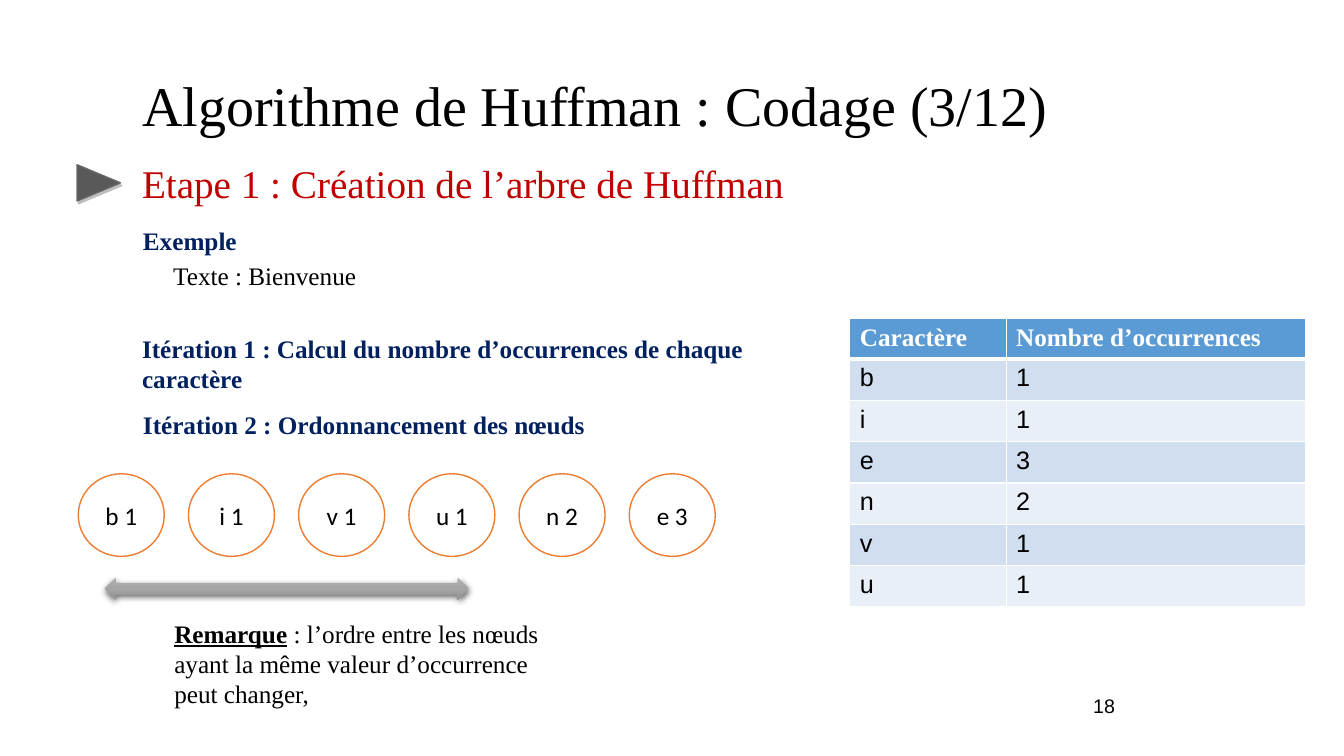
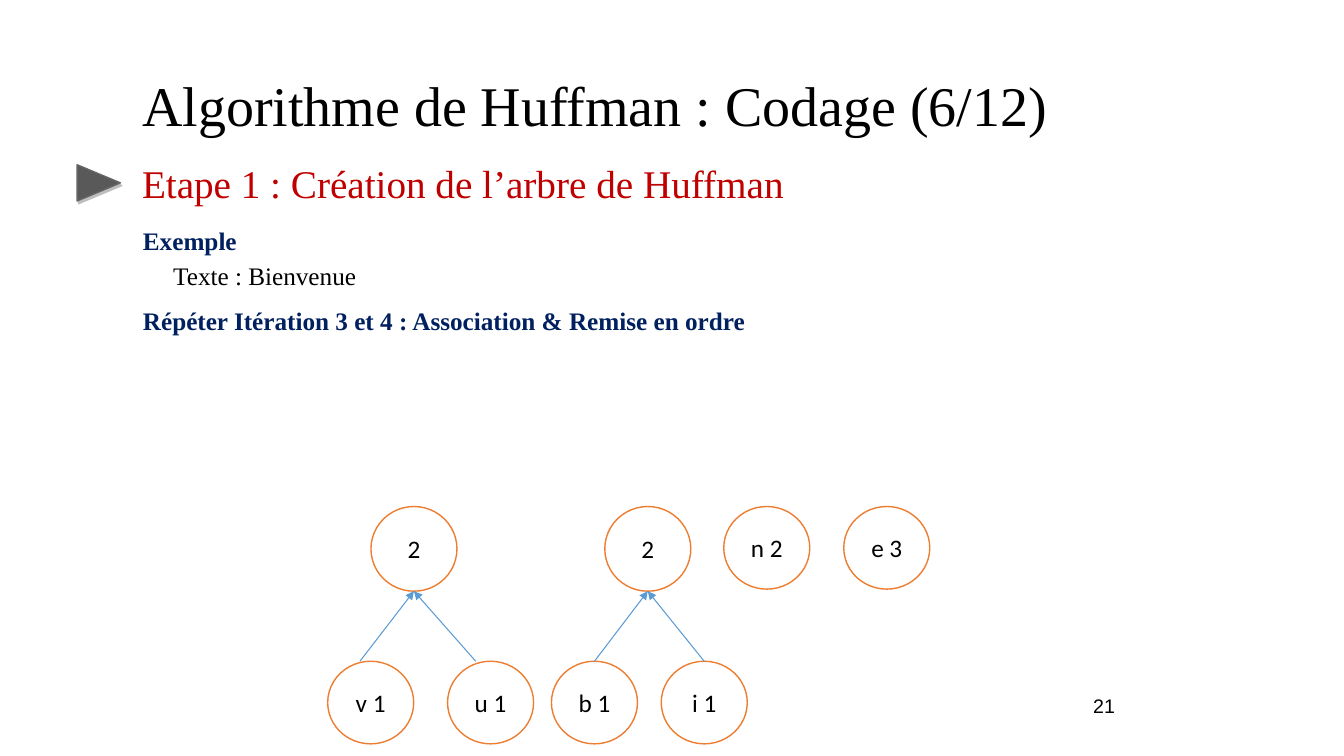
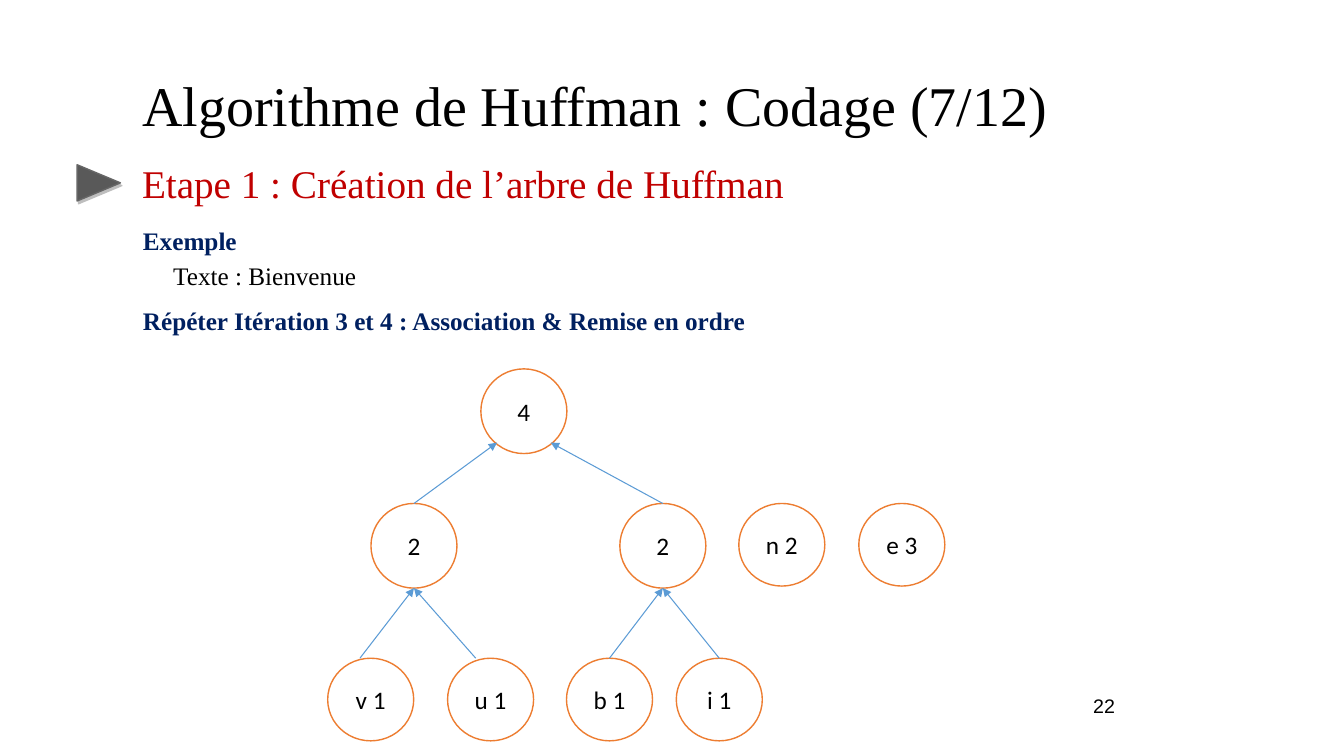
"""Build three slides on the construction of a Huffman tree."""
import dataclasses
import typing

import lxml.etree
import pptx
import pptx.dml.color
import pptx.enum.shapes
import pptx.enum.text
import pptx.oxml.ns
import pptx.shapes.autoshape
import pptx.shapes.connector
import pptx.slide
import pptx.text.text
import pptx.util

SLIDE_WIDTH = pptx.util.Inches(13.33)
SLIDE_HEIGHT = pptx.util.Inches(7.5)
GRID = 100

SERIF, SANS, NODE_FONT = "Times New Roman", "Arial", "Calibri"
BLACK, WHITE, RED, NAVY = "000000", "FFFFFF", "C00000", "002060"
ORANGE, BLUE = "ED7D31", "5B9BD5"
BANDS = ("D0DEEF", "E9EFF7")

NODE_WIDTH, LEAF_HEIGHT, PARENT_HEIGHT = 6.4, 10.93, 11.2
LEAF_TOP, PARENT_TOP, ROOT_TOP = 87.47, 67, 49.2

LEFT = pptx.enum.text.PP_ALIGN.LEFT
CENTER = pptx.enum.text.PP_ALIGN.CENTER
RIGHT = pptx.enum.text.PP_ALIGN.RIGHT
TOP = pptx.enum.text.MSO_ANCHOR.TOP
MIDDLE = pptx.enum.text.MSO_ANCHOR.MIDDLE
SHAPES = pptx.enum.shapes.MSO_SHAPE

OCCURRENCES = (("b", 1), ("i", 1), ("e", 3), ("n", 2), ("v", 1), ("u", 1))
ORDERED_NODES = ("b 1", "i 1", "v 1", "u 1", "n 2", "e 3")


@dataclasses.dataclass(frozen=True)
class Box:
    """Place on the grid, in columns and rows."""
    left: float
    top: float
    width: float
    height: float


@dataclasses.dataclass(frozen=True)
class Style:
    """Look of a text."""
    size: float = 18
    font: str = SERIF
    color: str = BLACK
    bold: bool = False
    underline: bool = False
    align: typing.Any = LEFT
    anchor: typing.Any = TOP
    spacing: float = 1


@dataclasses.dataclass(frozen=True)
class Node:
    """Node of the tree, placed by its top left corner."""
    label: str
    left: float
    top: float
    height: float = LEAF_HEIGHT

    @property
    def center(self) -> float:
        """Column of the middle of the node."""
        return self.left + NODE_WIDTH / 2


@dataclasses.dataclass(frozen=True)
class Edge:
    """Arrow from a child to its parent, with offsets from their middles."""
    child: Node
    parent: Node
    child_offset: float = 0
    parent_offset: float = 0
    rise: float = 0


@dataclasses.dataclass(frozen=True)
class Shadow:
    """Outer shadow, in points, degrees and percent."""
    color: str
    opacity: int
    blur: float
    distance: float
    angle: int


BODY = Style()
HEADING = Style(color=NAVY, bold=True)
TITLE = Style(size=40, anchor=MIDDLE, spacing=0.9)
STEP = Style(size=28, color=RED, anchor=MIDDLE, spacing=0.9)
PAGE = Style(size=14, font=SANS, align=RIGHT)
NODE = Style(font=NODE_FONT, align=CENTER, anchor=MIDDLE)
TABLE_HEAD = Style(color=WHITE, bold=True)
TABLE_BODY = Style(font=SANS)


def across(columns: float) -> int:
    """Turn grid columns into a length."""
    return round(SLIDE_WIDTH * columns / GRID)


def down(rows: float) -> int:
    """Turn grid rows into a length."""
    return round(SLIDE_HEIGHT * rows / GRID)


def bounds(box: Box) -> tuple[int, int, int, int]:
    """Turn a grid box into lengths."""
    return across(box.left), down(box.top), across(box.width), down(box.height)


def rgb(color: str) -> pptx.dml.color.RGBColor:
    """Turn a hex string into a colour."""
    return pptx.dml.color.RGBColor.from_string(color)


def add_xml(parent: typing.Any, tag: str, **attributes: typing.Any) -> typing.Any:
    """Append a drawing element to a parent."""
    values = {key: str(value) for key, value in attributes.items()}
    return lxml.etree.SubElement(parent, pptx.oxml.ns.qn(tag), values)


def format_run(run: typing.Any, style: Style) -> None:
    """Apply the font part of a style."""
    run.font.size = pptx.util.Pt(style.size)
    run.font.name = style.font
    run.font.bold = style.bold
    run.font.underline = style.underline
    run.font.color.rgb = rgb(style.color)


def write(frame: pptx.text.text.TextFrame, text: str, style: Style) -> None:
    """Fill a text frame with one styled paragraph."""
    frame.text = text
    frame.word_wrap = True
    frame.vertical_anchor = style.anchor
    paragraph = frame.paragraphs[0]
    paragraph.alignment = style.align
    paragraph.line_spacing = style.spacing
    for run in paragraph.runs:
        format_run(run, style)


def add_text(slide: pptx.slide.Slide, box: Box, text: str,
             style: Style = BODY) -> pptx.text.text.TextFrame:
    """Add a text box."""
    frame = slide.shapes.add_textbox(*bounds(box)).text_frame
    write(frame, text, style)
    return frame


def add_shape(slide: pptx.slide.Slide, kind: typing.Any, box: Box, fill: str,
              line: str | None = None) -> pptx.shapes.autoshape.Shape:
    """Add a flat shape."""
    shape = slide.shapes.add_shape(kind, *bounds(box))
    shape.fill.solid()
    shape.fill.fore_color.rgb = rgb(fill)
    if line:
        shape.line.color.rgb = rgb(line)
        shape.line.width = pptx.util.Pt(1)
    else:
        shape.line.fill.background()
    shape.shadow.inherit = False
    return shape


def cast_shadow(shape: pptx.shapes.autoshape.Shape, shadow: Shadow) -> None:
    """Give a shape an outer shadow."""
    effects = shape.element.spPr.find(pptx.oxml.ns.qn("a:effectLst"))
    outer = add_xml(effects, "a:outerShdw", blurRad=pptx.util.Pt(shadow.blur),
                    dist=pptx.util.Pt(shadow.distance), dir=shadow.angle * 60000,
                    rotWithShape=0)
    add_xml(add_xml(outer, "a:srgbClr", val=shadow.color), "a:alpha",
            val=shadow.opacity * 1000)


def shade(shape: pptx.shapes.autoshape.Shape, colors: tuple[str, ...]) -> None:
    """Fill a shape with evenly spaced colours from top to bottom."""
    shape.fill.gradient()
    shape.fill.gradient_angle = 270
    stops = shape.element.spPr.find(".//" + pptx.oxml.ns.qn("a:gsLst"))
    for stop in list(stops):
        stops.remove(stop)
    for index, color in enumerate(colors):
        stop = add_xml(stops, "a:gs", pos=100000 * index // (len(colors) - 1))
        add_xml(stop, "a:srgbClr", val=color)


def draw_node(slide: pptx.slide.Slide, node: Node) -> None:
    """Draw a node with its label."""
    box = Box(node.left, node.top, NODE_WIDTH, node.height)
    circle = add_shape(slide, SHAPES.OVAL, box, WHITE, ORANGE)
    write(circle.text_frame, node.label, NODE)


def draw_edge(slide: pptx.slide.Slide, edge: Edge) -> None:
    """Draw an arrow from a child up to its parent."""
    arrow = slide.shapes.add_connector(
        pptx.enum.shapes.MSO_CONNECTOR.STRAIGHT,
        across(edge.child.center + edge.child_offset), down(edge.child.top),
        across(edge.parent.center + edge.parent_offset),
        down(edge.parent.top + edge.parent.height - edge.rise))
    arrow.line.color.rgb = rgb(BLUE)
    arrow.line.width = pptx.util.Pt(0.75)
    properties = arrow.element.spPr
    add_xml(properties.find(pptx.oxml.ns.qn("a:ln")), "a:tailEnd", type="triangle")
    add_xml(properties, "a:effectLst")


def add_base(deck: typing.Any, part: int, page: int) -> pptx.slide.Slide:
    """Add a slide with all that the slides share."""
    slide = deck.slides.add_slide(deck.slide_layouts[5])
    title = slide.shapes.title
    title.left, title.top, title.width, title.height = bounds(Box(9.83, 6, 71.7, 16.67))
    write(title.text_frame, f"Algorithme de Huffman : Codage ({part}/12)", TITLE)
    title.text_frame.auto_size = pptx.enum.text.MSO_AUTO_SIZE.NONE
    add_text(slide, Box(66.23, 91.07, 17.48, 6.93), str(page), PAGE)
    marker = add_shape(slide, SHAPES.ISOSCELES_TRIANGLE,
                       Box(6, 21.33, 2.7, 5.73), "595959", "666666")
    marker.rotation = 90
    cast_shadow(marker, Shadow("7F7F7F", 50, 0, 2.2, 63))
    add_text(slide, Box(9.83, 20.4, 63.75, 8.27),
             "Etape 1 : Création de l’arbre de Huffman", STEP)
    add_text(slide, Box(9.9, 29.2, 8.7, 5.33), "Exemple", HEADING)
    add_text(slide, Box(12.15, 33.73, 65.18, 5.33), "Texte : Bienvenue")
    return slide


def fill_cell(cell: typing.Any, text: str, style: Style, fill: str,
              top: float, bottom: float) -> None:
    """Fill a table cell and draw its white borders."""
    write(cell.text_frame, text, style)
    properties = cell._tc.get_or_add_tcPr()
    for side, width in (("L", 1), ("R", 1), ("T", top), ("B", bottom)):
        border = add_xml(properties, f"a:ln{side}", w=pptx.util.Pt(width))
        add_xml(add_xml(border, "a:solidFill"), "a:srgbClr", val=WHITE)
    cell.fill.solid()
    cell.fill.fore_color.rgb = rgb(fill)


def add_occurrences(slide: pptx.slide.Slide) -> None:
    """Add the table of occurrences."""
    rows = (("Caractère", "Nombre d’occurrences"), *OCCURRENCES)
    widths, head_height, row_height = (11.63, 22.28), 5.07, 5.47
    box = Box(63.23, 42.13, sum(widths), head_height + row_height * len(OCCURRENCES))
    table = slide.shapes.add_table(len(rows), len(widths), *bounds(box)).table
    table.horz_banding = False
    for column, width in zip(table.columns, widths):
        column.width = across(width)
    for index, values in enumerate(rows):
        head = index == 0
        table.rows[index].height = down(head_height if head else row_height)
        for column, value in enumerate(values):
            fill_cell(table.cell(index, column), str(value),
                      TABLE_HEAD if head else TABLE_BODY,
                      BLUE if head else BANDS[(index - 1) % 2],
                      3 if index == 1 else 1, 3 if head else 1)


def add_ordering(deck: typing.Any) -> None:
    """Add the slide that counts and orders the characters."""
    slide = add_base(deck, 3, 18)
    add_text(slide, Box(9.83, 43.47, 53.85, 9.47),
             "Itération 1 : Calcul du nombre d’occurrences de chaque caractère", HEADING)
    add_text(slide, Box(9.9, 53.47, 34.8, 5.33),
             "Itération 2 : Ordonnancement des nœuds", HEADING)
    add_occurrences(slide)
    for index, label in enumerate(ORDERED_NODES):
        draw_node(slide, Node(label, 5.82 + 8.2 * index, 62.67))
    span = add_shape(slide, SHAPES.LEFT_RIGHT_ARROW, Box(7.8, 76.4, 27.08, 2.93), "A5A5A5")
    shade(span, ("AFAFAF", "A5A5A5", "919191"))
    cast_shadow(span, Shadow(BLACK, 63, 4.5, 1.5, 90))
    remark = add_text(slide, Box(12.23, 81.07, 28.58, 13.47), "Remarque",
                      Style(bold=True, underline=True))
    rest = remark.paragraphs[0].add_run()
    rest.text = " : l’ordre entre les nœuds ayant la même valeur d’occurrence peut changer,"
    format_run(rest, BODY)


def add_forest(deck: typing.Any, part: int, page: int, shift: float = 0,
               lift: float = 0, joined: bool = False) -> None:
    """Add a slide with both subtrees, joined under a root if asked."""
    slide = add_base(deck, part, page)
    add_text(slide, Box(9.9, 39.73, 46.8, 5.33),
             "Répéter Itération 3 et 4 : Association & Remise en ordre", HEADING)
    leaf_top, parent_top = LEAF_TOP - lift, PARENT_TOP - lift
    v, u = Node("v 1", 24.38, leaf_top), Node("u 1", 33.3, leaf_top)
    b, i = Node("b 1", 41.03 + shift, leaf_top), Node("i 1", 49.2 + shift, leaf_top)
    n, e = Node("n 2", 53.85 + shift, parent_top), Node("e 3", 62.78 + shift, parent_top)
    vu = Node("2", 27.6, parent_top, PARENT_HEIGHT)
    bi = Node("2", 45 + shift, parent_top, PARENT_HEIGHT)
    nodes = [v, u, b, i, n, e, vu, bi]
    edges = [Edge(v, vu, -0.8), Edge(u, vu, -1.1), Edge(b, bi), Edge(i, bi)]
    if joined:
        root = Node("4", 35.78, ROOT_TOP - lift, PARENT_HEIGHT)
        nodes.append(root)
        edges += [Edge(vu, root, 0, -2, 1.45), Edge(bi, root, 0, 2, 1.45)]
    for node in nodes:
        draw_node(slide, node)
    for edge in edges:
        draw_edge(slide, edge)


def main() -> None:
    """Build and save the presentation."""
    deck = pptx.Presentation()
    deck.slide_width, deck.slide_height = SLIDE_WIDTH, SLIDE_HEIGHT
    add_ordering(deck)
    add_forest(deck, 6, 21)
    add_forest(deck, 7, 22, shift=1.12, lift=0.4, joined=True)
    deck.save("out.pptx")


if __name__ == "__main__":
    main()
